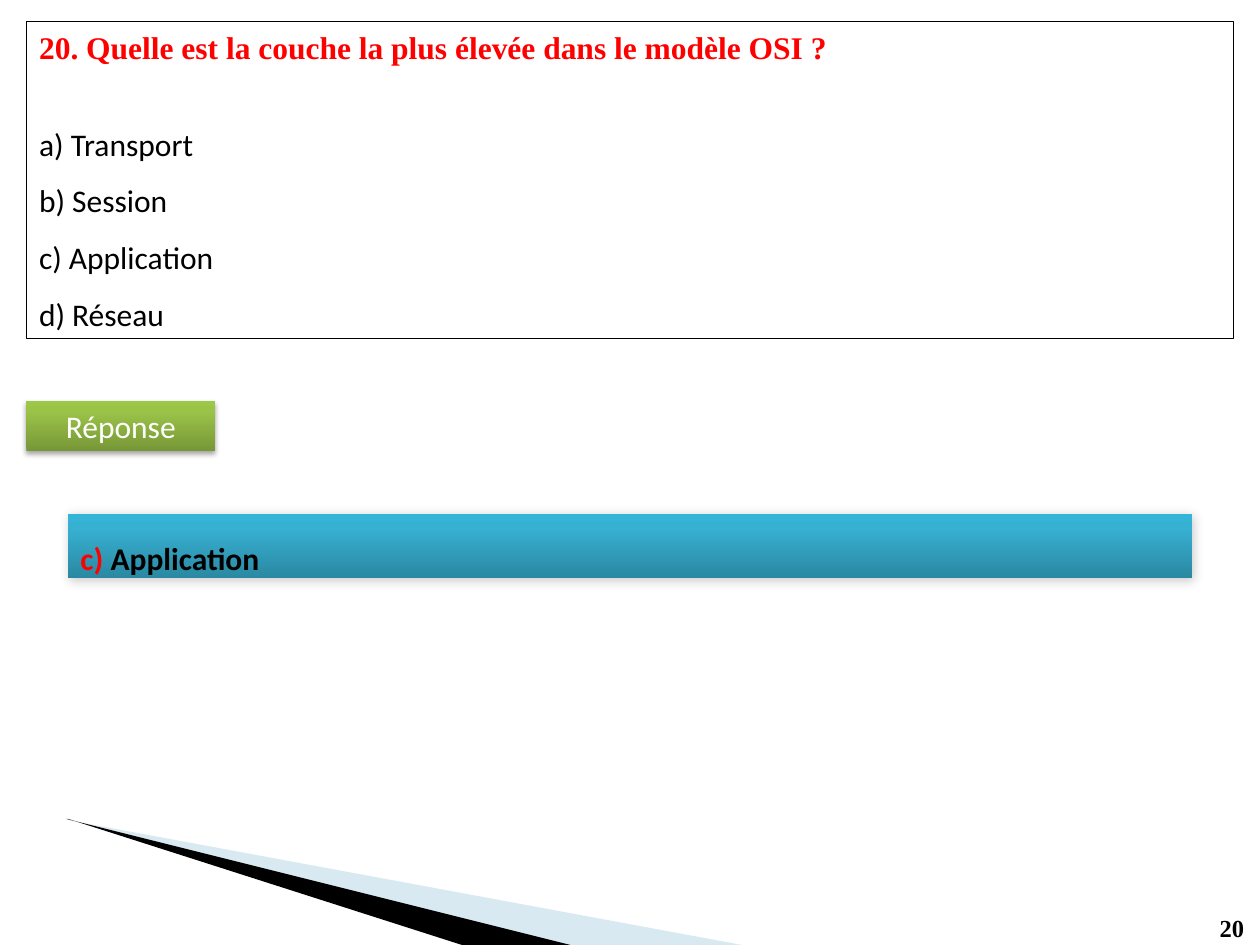
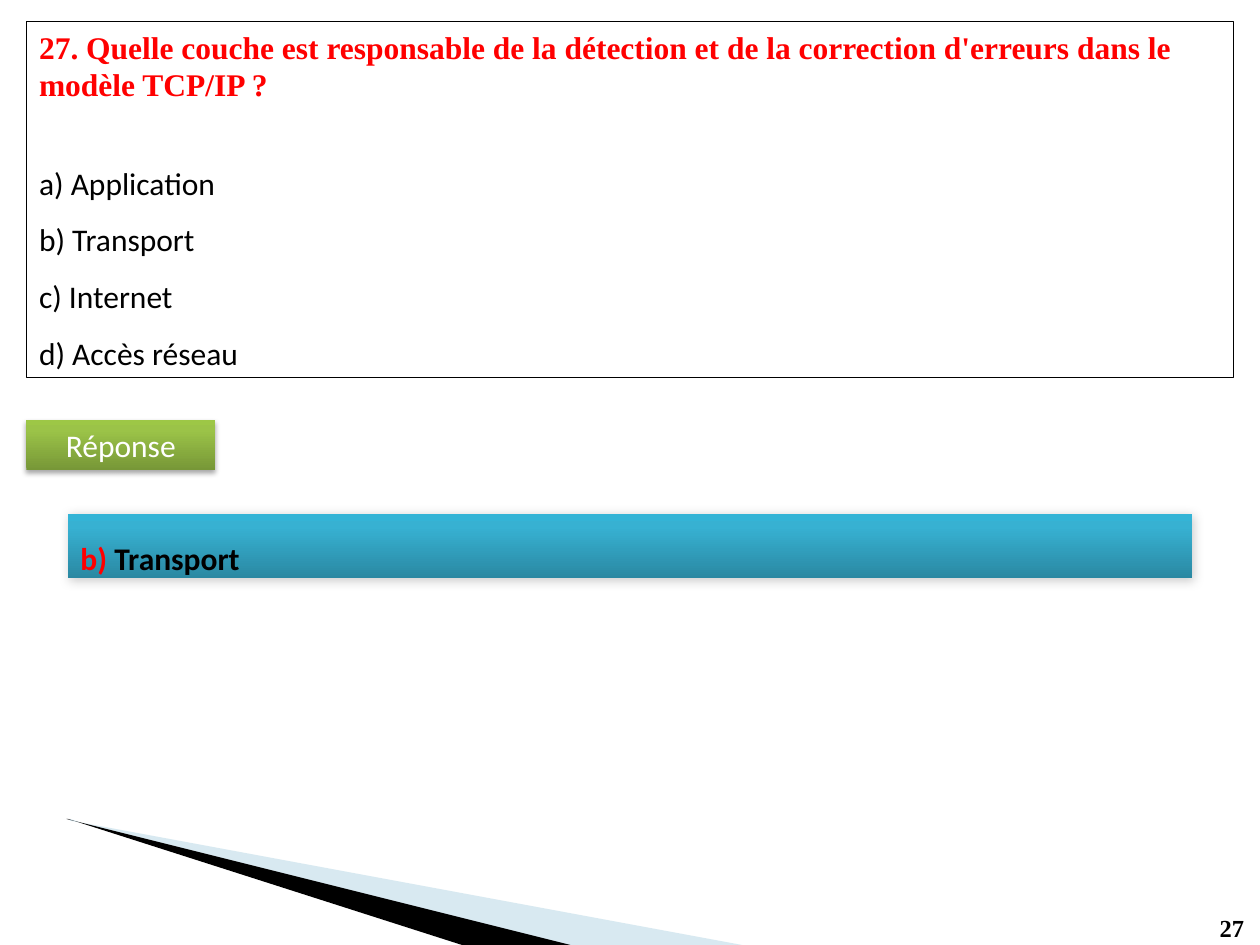
from lxml.etree import SubElement
from pptx import Presentation
from pptx.dml.color import RGBColor
from pptx.enum.shapes import MSO_SHAPE
from pptx.enum.text import MSO_ANCHOR, MSO_AUTO_SIZE, PP_ALIGN
from pptx.oxml.ns import qn
from pptx.util import Pt

QUESTIONS = [
    {
        "number": "20",
        "question": "Quelle est la couche la plus élevée dans le modèle OSI ?",
        "question_lines": 1,
        "options": ["a) Transport", "b) Session", "c) Application", "d) Réseau"],
        "correct": 2,
        "label_top": 229,
    },
    {
        "number": "27",
        "question": "Quelle couche est responsable de la détection et de la "
                    "correction d'erreurs dans le modèle TCP/IP ?",
        "question_lines": 2,
        "options": ["a) Application", "b) Transport", "c) Internet", "d) Accès réseau"],
        "correct": 1,
        "label_top": 240,
    },
]

BLACK, RED, WHITE, PALE_BLUE = "000000", "FF0000", "FFFFFF", "9FCADC"
SERIF, SANS = "Times New Roman", "Calibri"
WEDGES = [
    (PALE_BLUE, 40, [[(46.1, 470.2), (324.7, 540), (424.1, 540)],
                     [(39.6, 468), (39.6, 468.7), (46.1, 470.2)]]),
    (BLACK, 100, [[(38.2, 467.8), (38.9, 467.8), (264.2, 540), (326.2, 540)]]),
]
GREEN = {"stops": [(0, "779737"), (80, "9BC348"), (100, "9DC746")],
         "shadow": {"alpha": 35, "blur": 3.1, "distance": 1.8, "angle": 90}}
BLUE = {"stops": [(0, "2A88A2"), (80, "37B1D2"), (100, "34B4D6")],
        "shadow": {"alpha": 20, "blur": 6, "distance": 1, "angle": 45}}

BOX_LEFT, BOX_TOP, BOX_WIDTH = 15.1, 12.2, 689.8
QUESTION_LINE, OPTIONS_HEIGHT = 22.3, 159.1


def color(value):
    """Turn a hex string into a colour."""
    return RGBColor.from_string(value)


def place(shape, left, top, width, height):
    """Move and size a shape in points."""
    shape.left, shape.top = Pt(left), Pt(top)
    shape.width, shape.height = Pt(width), Pt(height)


def prepare_frame(shape, anchor=MSO_ANCHOR.TOP, wrap=True):
    """Give a shape's text the shared frame and return its first paragraph."""
    frame = shape.text_frame
    frame.auto_size = MSO_AUTO_SIZE.NONE
    frame.word_wrap = wrap
    frame.vertical_anchor = anchor
    return frame.paragraphs[0]


def add_run(paragraph, text, font, hex_color, bold=False, size=18):
    """Add one formatted run."""
    run = paragraph.add_run()
    run.text = text
    run.font.name, run.font.size, run.font.bold = font, Pt(size), bold
    run.font.color.rgb = color(hex_color)


def add_color(parent, hex_color, alpha=100):
    """Add a colour element with its opacity in percent."""
    element = SubElement(parent, qn("a:srgbClr"), val=hex_color)
    if alpha < 100:
        SubElement(element, qn("a:alpha"), val=str(alpha * 1000))


def add_bar(slide, style, left, top, width, height):
    """Add a shaded rectangle with a soft shadow."""
    bar = slide.shapes.add_shape(
        MSO_SHAPE.RECTANGLE, Pt(left), Pt(top), Pt(width), Pt(height))
    properties = bar.element.spPr
    gradient = SubElement(properties, qn("a:gradFill"), rotWithShape="1")
    stops = SubElement(gradient, qn("a:gsLst"))
    for position, hex_color in style["stops"]:
        add_color(SubElement(stops, qn("a:gs"), pos=str(position * 1000)), hex_color)
    SubElement(gradient, qn("a:lin"), ang=str(270 * 60000), scaled="0")
    bar.line.fill.background()
    bar.shadow.inherit = False
    shadow = style["shadow"]
    outer = SubElement(
        properties.find(qn("a:effectLst")), qn("a:outerShdw"),
        blurRad=str(Pt(shadow["blur"])), dist=str(Pt(shadow["distance"])),
        dir=str(shadow["angle"] * 60000), rotWithShape="0")
    add_color(outer, BLACK, shadow["alpha"])
    return bar


def add_wedges(slide, layout):
    """Draw the corner wedges and hand them to the shared layout."""
    for index, (hex_color, alpha, outlines) in enumerate(WEDGES):
        builder = slide.shapes.build_freeform(*outlines[0][0], scale=Pt(1))
        builder.add_line_segments(outlines[0][1:])
        for outline in outlines[1:]:
            builder.move_to(*outline[0])
            builder.add_line_segments(outline[1:])
        wedge = builder.convert_to_shape()
        wedge.shadow.inherit = False
        wedge.fill.solid()
        wedge.fill.fore_color.rgb = color(hex_color)
        if alpha < 100:
            fill_color = wedge.element.spPr.find(qn("a:solidFill"))[0]
            SubElement(fill_color, qn("a:alpha"), val=str(alpha * 1000))
        wedge.line.fill.background()
        wedge.element.nvSpPr.cNvPr.id = 20 + index
        layout.shapes.element.append(wedge.element)


def add_question(slide, item):
    """Fill the title with the question and the framed body with its options."""
    question_height = item["question_lines"] * QUESTION_LINE
    title, body = slide.shapes.title, slide.placeholders[1]
    place(title, BOX_LEFT, BOX_TOP, BOX_WIDTH, question_height + 7.2)
    paragraph = prepare_frame(title)
    paragraph.alignment = PP_ALIGN.LEFT
    add_run(paragraph, f"{item['number']}. {item['question']}", SERIF, RED, bold=True)

    place(body, BOX_LEFT, BOX_TOP, BOX_WIDTH, question_height + OPTIONS_HEIGHT)
    body.line.color.rgb = color(BLACK)
    body.line.width = Pt(0.75)
    paragraph = prepare_frame(body, MSO_ANCHOR.BOTTOM)
    for index, option in enumerate(item["options"]):
        if index:
            paragraph = body.text_frame.add_paragraph()
        paragraph.line_spacing = 1.5
        paragraph.space_before = Pt(0)
        properties = paragraph._p.get_or_add_pPr()
        properties.set("marL", "0")
        properties.set("indent", "0")
        SubElement(properties, qn("a:buNone"))
        add_run(paragraph, option, SANS, BLACK)


def add_answer(slide, item):
    """Add the answer label and the bar with the correct option."""
    label = add_bar(slide, GREEN, BOX_LEFT, item["label_top"], 108, 28.8)
    paragraph = prepare_frame(label, MSO_ANCHOR.MIDDLE)
    paragraph.alignment = PP_ALIGN.CENTER
    add_run(paragraph, "Réponse", SANS, WHITE)

    answer = add_bar(slide, BLUE, 38.9, 293.8, 642.2, 36.7)
    paragraph = prepare_frame(answer)
    paragraph.alignment = PP_ALIGN.LEFT
    paragraph.line_spacing = 1.5
    letter, text = item["options"][item["correct"]].split(" ", 1)
    add_run(paragraph, letter + " ", SANS, RED, bold=True)
    add_run(paragraph, text, SANS, BLACK, bold=True)


def add_number(slide, number):
    """Add the page number in the corner."""
    box = slide.shapes.add_textbox(Pt(689.8), Pt(518.4), Pt(28.8), Pt(24.5))
    add_run(prepare_frame(box, wrap=False), number, SERIF, BLACK, bold=True, size=14)


def main():
    """Build the quiz slides."""
    presentation = Presentation()
    presentation.slide_width, presentation.slide_height = Pt(720), Pt(540)
    layout = presentation.slide_layouts[1]
    for index, item in enumerate(QUESTIONS):
        slide = presentation.slides.add_slide(layout)
        if index == 0:
            add_wedges(slide, layout)
        add_number(slide, item["number"])
        add_question(slide, item)
        add_answer(slide, item)
    presentation.save("out.pptx")


if __name__ == "__main__":
    main()
